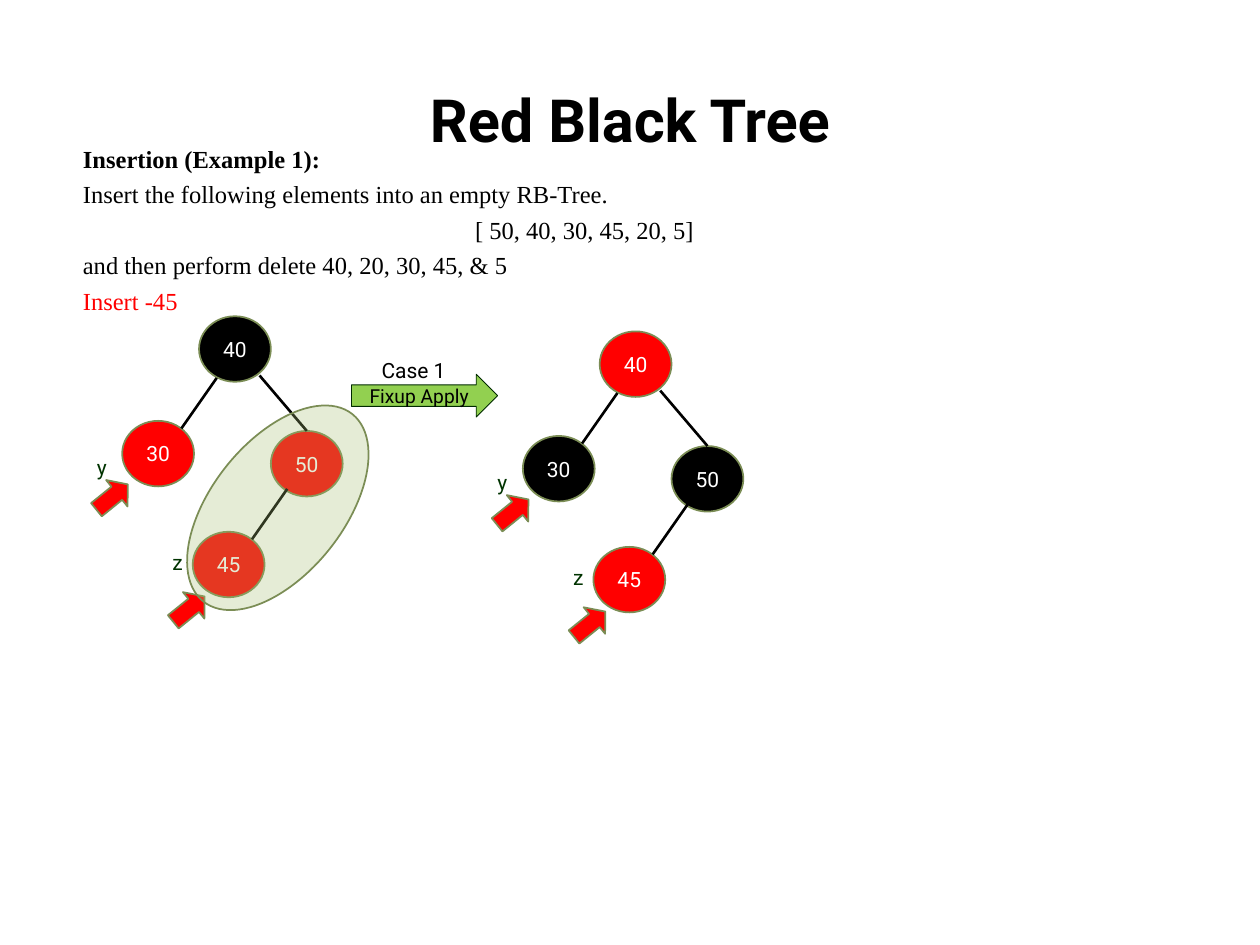
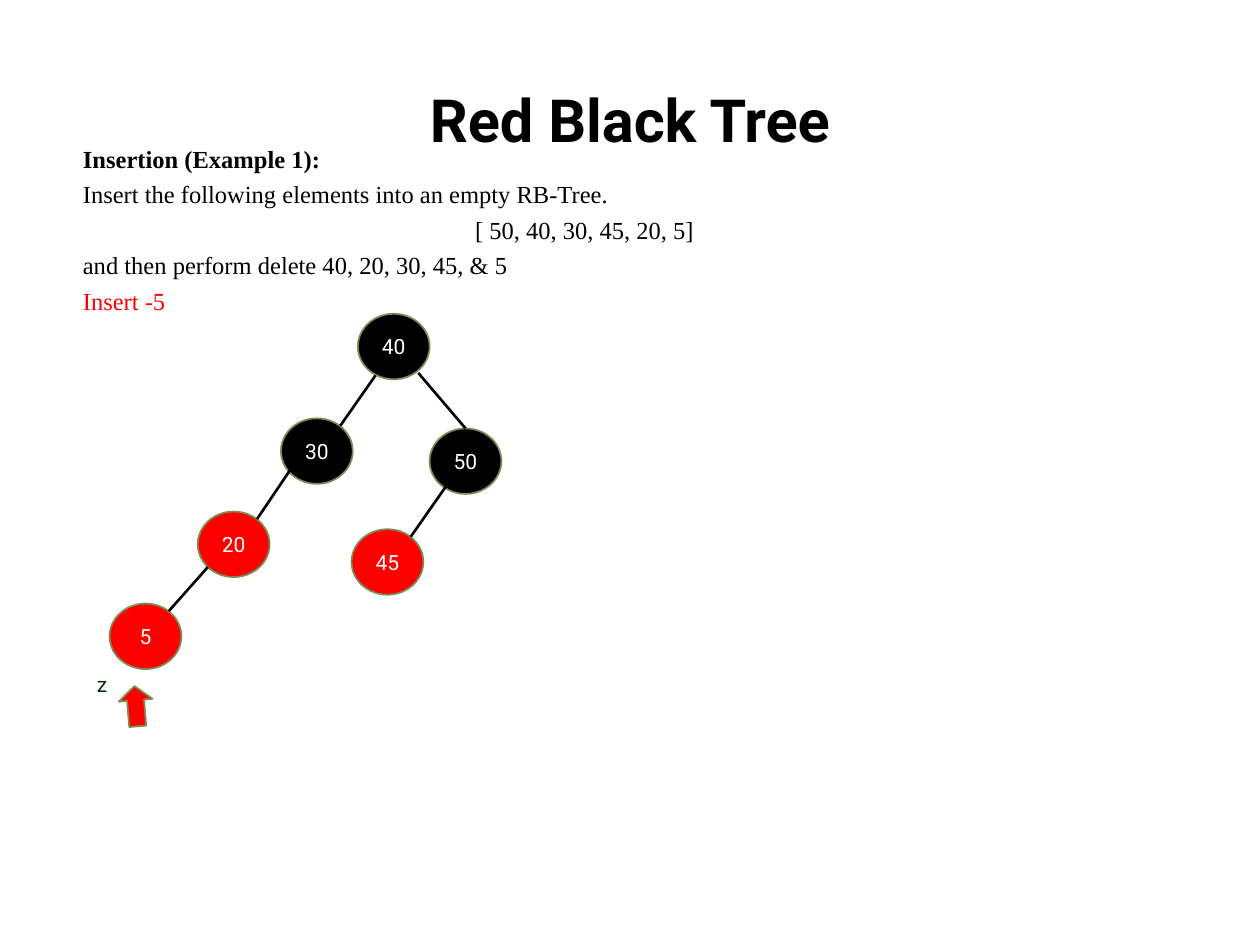
from lxml import etree
from pptx import Presentation
from pptx.dml.color import RGBColor
from pptx.enum import shapes, text
from pptx.oxml.ns import qn
from pptx.util import Inches, Pt

COLORS = {
    "black": "000000", "red": "FF0000", "white": "FFFFFF", "outline": "7B8D55",
    "step": "92D050", "step_line": "002A00", "label": "003300", "highlight": "A6BF73",
}
SANS, SERIF = "Roboto", "Times New Roman"
NODE_W, NODE_H = 0.57, 0.52

# Node offsets from the root's top left corner
LAYOUT = {"40": (0, 0), "50": (0.57, 0.91), "30": (-0.61, 0.83), "45": (-0.05, 1.71),
          "20": (-1.27, 1.57), "5": (-1.97, 2.3)}
# Left edges: parent, child, start offset within the parent
LEFT_EDGES = [("40", "30", (0.14, 0.49)), ("50", "45", (0.13, 0.46)),
              ("30", "20", (0.08, 0.4)), ("20", "5", (0.08, 0.44))]
LEFT_EDGE_END = (0.47, 0.06)
RIGHT_EDGE_START = (0.48, 0.47)


def rgb(name):
    return RGBColor.from_string(COLORS[name])


def box(*lengths):
    return [Inches(length) for length in lengths]


def add_run(paragraph, words, size, color, font=SANS, bold=False):
    run = paragraph.add_run()
    run.text = words
    run.font.size, run.font.name, run.font.bold = Pt(size), font, bold
    run.font.color.rgb = rgb(color)


def add_filled(slide, kind, at, fill, line="outline", weight=1, rotation=0):
    shape = slide.shapes.add_shape(kind, *box(*at))
    shape.shadow.inherit = False
    shape.fill.solid()
    shape.fill.fore_color.rgb = rgb(fill)
    shape.line.color.rgb = rgb(line)
    shape.line.width = Pt(weight)
    shape.rotation = rotation
    return shape


def center_words(shape, words, size, color):
    frame = shape.text_frame
    frame.margin_left = frame.margin_right = frame.margin_top = frame.margin_bottom = 0
    frame.vertical_anchor = text.MSO_ANCHOR.MIDDLE
    frame.paragraphs[0].alignment = text.PP_ALIGN.CENTER
    add_run(frame.paragraphs[0], words, size, color)


def add_label(slide, words, at, color):
    frame = slide.shapes.add_textbox(*box(*at)).text_frame
    frame.word_wrap = True
    add_run(frame.paragraphs[0], words, 12, color)


def add_edge(slide, start, end):
    edge = slide.shapes.add_connector(shapes.MSO_CONNECTOR.STRAIGHT, *box(*start, *end))
    edge.line.color.rgb = rgb("black")
    edge.line.width = Pt(1.5)
    etree.SubElement(edge._element.spPr, qn("a:effectLst"))
    return edge


def add_pointer(slide, letter, label_at, arrow_at, rotation=321):
    add_label(slide, letter, (*label_at, 0.27, 0.3), "label")
    arrow = add_filled(slide, shapes.MSO_SHAPE.RIGHT_ARROW, (*arrow_at, 0.32, 0.27),
                       "red", rotation=rotation)
    arrow.adjustments[0], arrow.adjustments[1] = 0.5, 0.415


def add_tree(slide, root, node_colors):
    corners = {key: (root[0] + LAYOUT[key][0], root[1] + LAYOUT[key][1])
               for key in node_colors}
    nodes = {}
    for key, (left, top) in corners.items():
        nodes[key] = add_filled(slide, shapes.MSO_SHAPE.OVAL,
                                (left, top, NODE_W, NODE_H), node_colors[key])
        center_words(nodes[key], key, 12, "white")

    def inside(key, offset):
        return corners[key][0] + offset[0], corners[key][1] + offset[1]

    for parent, child, start in LEFT_EDGES:
        if child in corners:
            add_edge(slide, inside(parent, start), inside(child, LEFT_EDGE_END))
    right_edge = add_edge(slide, inside("40", RIGHT_EDGE_START),
                          inside("50", (NODE_W / 2, 0)))
    right_edge.end_connect(nodes["50"], 0)


def add_marked_tree(slide, root, node_colors):
    """Tree with pointers z at the new node and y at its uncle."""
    x, y = root
    add_tree(slide, root, node_colors)
    add_pointer(slide, "z", (x - 0.31, y + 1.8), (x - 0.24, y + 2.19))
    add_pointer(slide, "y", (x - 0.91, y + 1.05), (x - 0.85, y + 1.3))


def add_highlight(slide):
    area = add_filled(slide, shapes.MSO_SHAPE.OVAL, (1.68, 3.08, 1.05, 1.9),
                      "highlight", rotation=38.5)
    color = area._element.spPr.find(qn("a:solidFill"))[0]
    etree.SubElement(color, qn("a:alpha"), val="29000")


def add_fixup_step(slide):
    step = add_filled(slide, shapes.MSO_SHAPE.RIGHT_ARROW, (2.79, 2.97, 1.16, 0.34),
                      "step", "step_line", 0.5)
    center_words(step, "Fixup Apply", 11, "black")
    add_label(slide, "Case 1", (2.93, 2.79, 0.79, 0.3), "black")


def add_example_slide(deck, inserted):
    slide = deck.slides.add_slide(deck.slide_layouts[5])
    # Title
    title = slide.shapes.title
    title.left, title.top, title.width, title.height = box(0.5, 0.55, 9, 0.79)
    title.text_frame.vertical_anchor = text.MSO_ANCHOR.MIDDLE
    heading = title.text_frame.paragraphs[0]
    heading.alignment = text.PP_ALIGN.CENTER
    add_run(heading, "Red Black Tree", 34, "black", bold=True)

    # Task
    align = text.PP_ALIGN
    task_lines = [
        ("Insertion (Example 1):", align.JUSTIFY, "black", True),
        ("Insert the following elements into an empty RB-Tree.", align.JUSTIFY, "black", False),
        ("[ 50, 40, 30, 45, 20, 5]", align.CENTER, "black", False),
        ("and then perform delete 40, 20, 30, 45, & 5", align.LEFT, "black", False),
        (f"Insert -{inserted}", align.LEFT, "red", False),
    ]
    task = slide.shapes.add_textbox(*box(0.56, 1.09, 8.16, 1.21)).text_frame
    task.word_wrap = True
    for index, (words, alignment, color, bold) in enumerate(task_lines):
        paragraph = task.add_paragraph() if index else task.paragraphs[0]
        paragraph.alignment = alignment
        if index:
            paragraph.space_before = Pt(3.5)
        add_run(paragraph, words, 14, color, SERIF, bold)
    return slide


def main():
    deck = Presentation()
    deck.slide_width, deck.slide_height = box(10, 7.5)

    # Insert 45: recolouring by case 1
    insert_45 = add_example_slide(deck, 45)
    add_fixup_step(insert_45)
    add_marked_tree(insert_45, (4.76, 2.63),
                    {"40": "red", "50": "black", "30": "black", "45": "red"})
    add_marked_tree(insert_45, (1.58, 2.51),
                    {"40": "black", "50": "red", "30": "red", "45": "red"})
    add_highlight(insert_45)

    # Insert 5
    insert_5 = add_example_slide(deck, 5)
    add_tree(insert_5, (2.84, 2.49),
             {"40": "black", "50": "black", "30": "black", "45": "red",
              "20": "red", "5": "red"})
    add_pointer(insert_5, "z", (0.67, 5.28), (0.92, 5.47), 265.3)

    deck.save("out.pptx")


if __name__ == "__main__":
    main()
